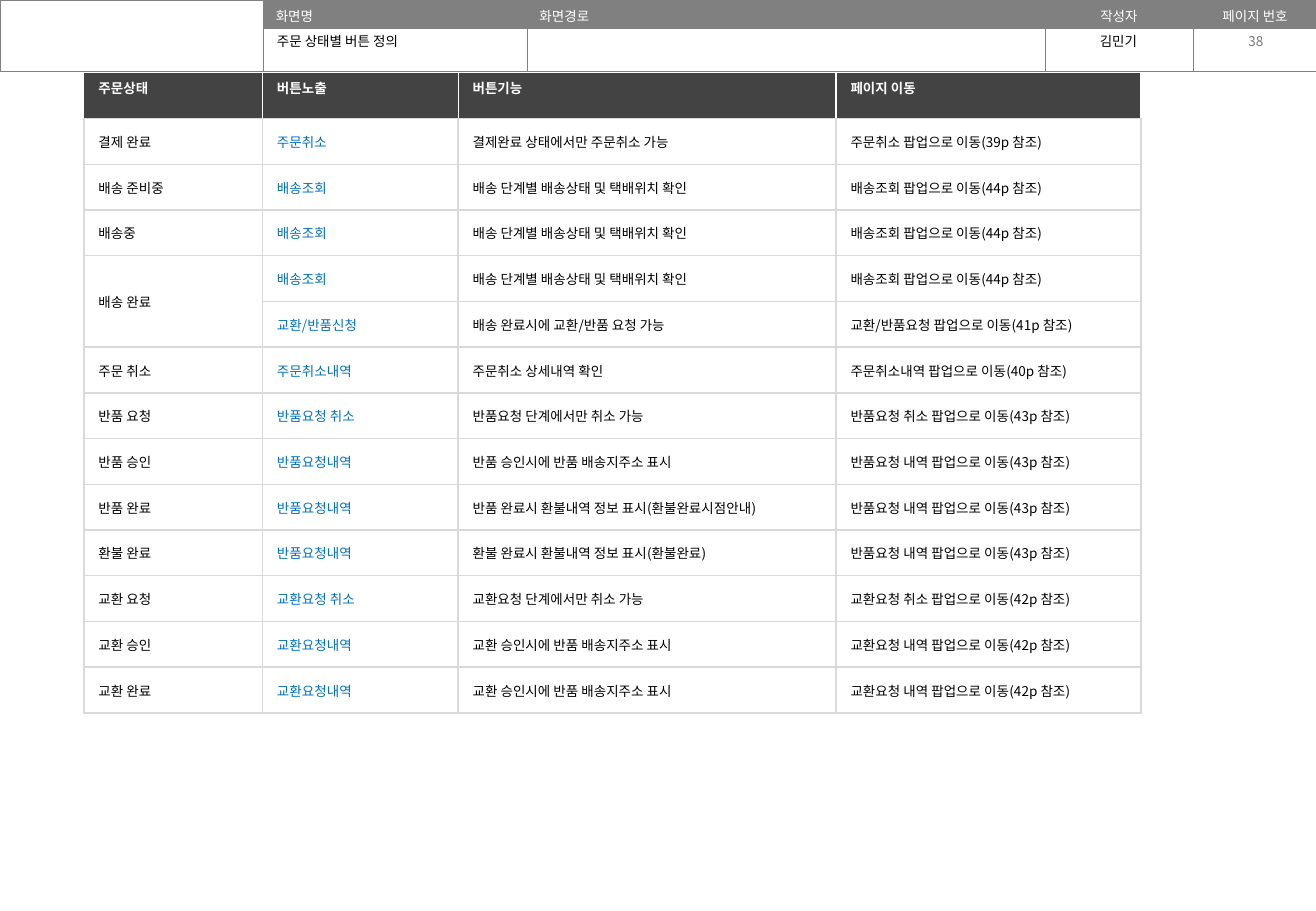
from lxml import etree
from pptx import Presentation
from pptx.dml.color import RGBColor
from pptx.enum.text import MSO_ANCHOR as Anchor, PP_ALIGN as Align
from pptx.oxml.ns import qn
from pptx.util import Inches, Pt

FONT = "Noto Sans CJK KR"
WHITE, BLACK, BLUE = "FFFFFF", "000000", "0070C0"
GRAY, DARK, LIGHT = "808080", "434343", "D9D9D9"

# Page header: labels of the frame, then (text, left, width, format)
FRAME_LABELS = ["", "화면명", "화면경로", "작성자", "페이지 번호"]
FRAME_COLUMNS = [2.17, 2.17, 4.26, 1.22, 1.02]
FRAME_ROWS = [0.23, 0.24]
FRAME_VALUES = [
    ("김민기", 8.59, 1.23, dict(align=Align.CENTER)),
    ("38", 9.83, 1.01, dict(align=Align.CENTER, color="797979", anchor=Anchor.MIDDLE)),
    ("주문 상태별 버튼 정의", 2.18, 2.15, {}),
]

# Button rules; an empty status continues the one above
HEADINGS = ("주문상태", "버튼노출", "버튼기능", "페이지 이동")
TRACKING = ("배송조회", "배송 단계별 배송상태 및 택배위치 확인", "배송조회 팝업으로 이동(44p 참조)")
RETURN_PAGE = "반품요청 내역 팝업으로 이동(43p 참조)"
EXCHANGE = ("교환요청내역", "교환 승인시에 반품 배송지주소 표시", "교환요청 내역 팝업으로 이동(42p 참조)")
RULES = [
    ("결제 완료", "주문취소", "결제완료 상태에서만 주문취소 가능", "주문취소 팝업으로 이동(39p 참조)"),
    ("배송 준비중", *TRACKING),
    ("배송중", *TRACKING),
    ("배송 완료", *TRACKING),
    ("", "교환/반품신청", "배송 완료시에 교환/반품 요청 가능", "교환/반품요청 팝업으로 이동(41p 참조)"),
    ("주문 취소", "주문취소내역", "주문취소 상세내역 확인", "주문취소내역 팝업으로 이동(40p 참조)"),
    ("반품 요청", "반품요청 취소", "반품요청 단계에서만 취소 가능", "반품요청 취소 팝업으로 이동(43p 참조)"),
    ("반품 승인", "반품요청내역", "반품 승인시에 반품 배송지주소 표시", RETURN_PAGE),
    ("반품 완료", "반품요청내역", "반품 완료시 환불내역 정보 표시(환불완료시점안내)", RETURN_PAGE),
    ("환불 완료", "반품요청내역", "환불 완료시 환불내역 정보 표시(환불완료)", RETURN_PAGE),
    ("교환 요청", "교환요청 취소", "교환요청 단계에서만 취소 가능", "교환요청 취소 팝업으로 이동(42p 참조)"),
    ("교환 승인", *EXCHANGE),
    ("교환 완료", *EXCHANGE),
]
RULE_COLUMNS = [1.47, 1.61, 3.11, 2.51]
RULES_HEIGHT = 5.27


def rgb(value):
    return RGBColor.from_string(value)


def write(frame, text, color=BLACK, bold=False, align=Align.LEFT):
    paragraph = frame.paragraphs[0]
    paragraph.alignment = align
    run = paragraph.add_run()
    run.text = text
    font = run.font
    font.size, font.bold, font.name = Pt(8), bold, FONT
    font.color.rgb = rgb(color)
    etree.SubElement(run._r.get_or_add_rPr(), qn("a:ea"), typeface=FONT)


def set_borders(cell, **sides):
    properties = cell._tc.get_or_add_tcPr()
    for side in "LRTB":
        color, width = sides.get(side, sides["default"])
        line = etree.SubElement(properties, qn(f"a:ln{side}"), w=str(Pt(width)))
        fill = etree.SubElement(line, qn("a:solidFill"))
        etree.SubElement(fill, qn("a:srgbClr"), val=color)


def set_fill(cell, color=None):
    if color:
        cell.fill.solid()
        cell.fill.fore_color.rgb = rgb(color)
    else:
        cell.fill.background()


def set_margins(cell, side, top, bottom):
    cell.margin_left = cell.margin_right = Inches(side)
    cell.margin_top, cell.margin_bottom = Inches(top), Inches(bottom)


def add_grid(slide, left, top, columns, rows):
    table = slide.shapes.add_table(
        len(rows), len(columns), Inches(left), Inches(top),
        Inches(sum(columns)), Inches(sum(rows))).table
    table.first_row = table.horz_banding = False
    for column, width in zip(table.columns, columns):
        column.width = Inches(width)
    for row, height in zip(table.rows, rows):
        row.height = Inches(height)
    return table


def add_page_header(slide):
    table = add_grid(slide, 0, 0, FRAME_COLUMNS, FRAME_ROWS)
    for r in range(len(FRAME_ROWS)):
        for c, label in enumerate(FRAME_LABELS):
            cell = table.cell(r, c)
            set_margins(cell, 0.1, 0.05, 0.02)
            set_borders(cell, default=(GRAY, 0.25))
            set_fill(cell, GRAY if r == 0 and label else None)
            write(cell.text_frame, label if r == 0 else "", color=WHITE,
                  align=Align.CENTER if c > 2 else Align.LEFT)
    table.cell(0, 0).merge(table.cell(1, 0))


def add_value(slide, text, left, width, anchor=Anchor.TOP, **style):
    box = slide.shapes.add_textbox(Inches(left), Inches(0.22), Inches(width), Inches(0.24))
    box.text_frame.word_wrap = True
    box.text_frame.vertical_anchor = anchor
    write(box.text_frame, text, **style)


def add_rules(slide):
    rows = [HEADINGS, *RULES]
    heights = [RULES_HEIGHT / len(rows)] * len(rows)
    table = add_grid(slide, 0.69, 0.6, RULE_COLUMNS, heights)
    edge, white = (LIGHT, 1), (WHITE, 0.75)
    for r, texts in enumerate(rows):
        for c, text in enumerate(texts):
            cell = table.cell(r, c)
            set_margins(cell, 0.12, 0.04, 0.04)
            if r == 0:
                set_borders(cell, default=white, B=edge)
                set_fill(cell, DARK)
                write(cell.text_frame, text, color=WHITE, bold=True)
            else:
                cell.vertical_anchor = Anchor.MIDDLE
                set_borders(cell, default=edge)
                set_fill(cell)
                if text:
                    write(cell.text_frame, text, color=BLUE if c == 1 else BLACK)
        if not texts[0]:
            table.cell(r - 1, 0).merge(table.cell(r, 0))


def main():
    presentation = Presentation()
    presentation.slide_width, presentation.slide_height = Inches(10.83), Inches(7.5)
    slide = presentation.slides.add_slide(presentation.slide_layouts[6])
    add_page_header(slide)
    for text, left, width, style in FRAME_VALUES:
        add_value(slide, text, left, width, **style)
    add_rules(slide)
    presentation.save("out.pptx")


if __name__ == "__main__":
    main()
